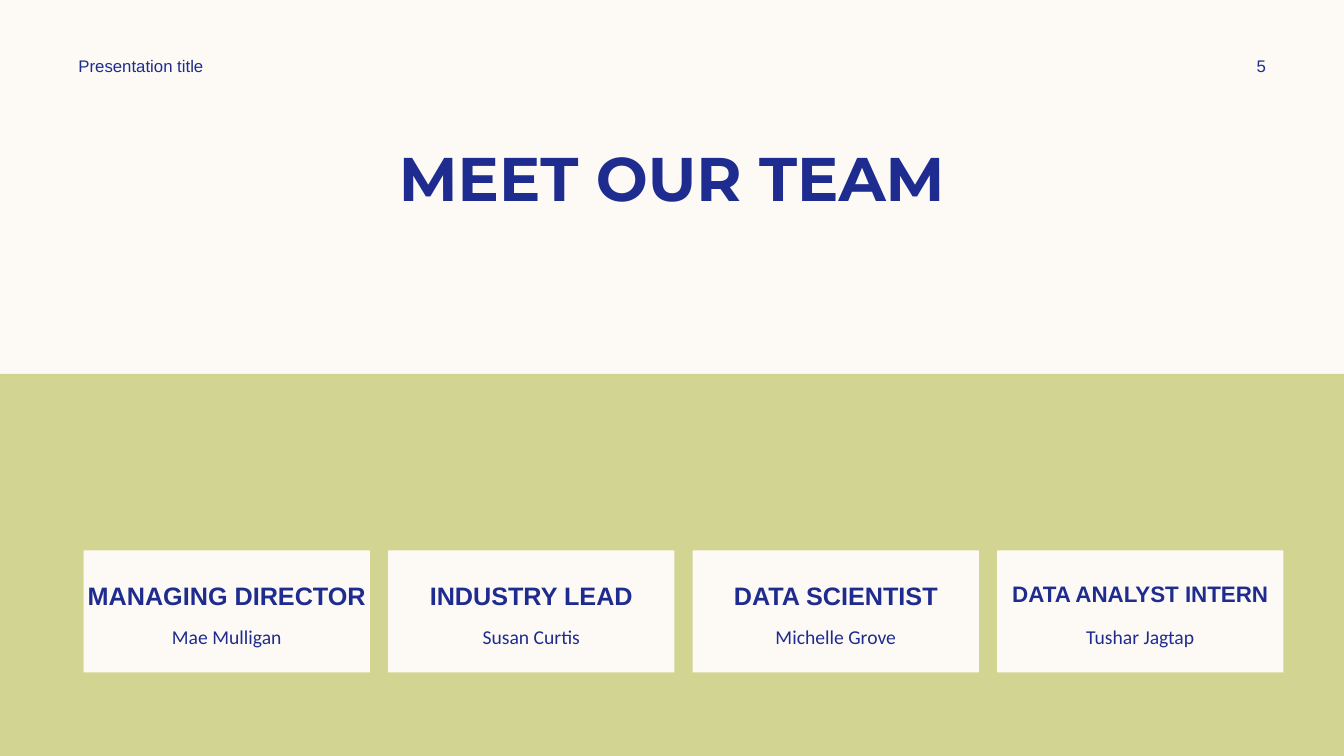
"""Builds the "Meet our team" slide with four role cards."""
from pptx import Presentation
from pptx.dml.color import RGBColor
from pptx.enum.shapes import MSO_SHAPE
from pptx.enum.text import MSO_ANCHOR, MSO_AUTO_SIZE, PP_ALIGN
from pptx.util import Inches, Pt

NAVY = RGBColor(0x1F, 0x2C, 0x8F)
CREAM = RGBColor(0xFD, 0xFA, 0xF6)
OLIVE = RGBColor(0xD2, 0xD5, 0x92)
RECTANGLE = MSO_SHAPE.RECTANGLE
TOP, MIDDLE = MSO_ANCHOR.TOP, MSO_ANCHOR.MIDDLE
LEFT, CENTER = PP_ALIGN.LEFT, PP_ALIGN.CENTER
NO_AUTOFIT = MSO_AUTO_SIZE.NONE

TITLE_ONLY = 5
CARD_LEFT, CARD_TOP, CARD_WIDTH, CARD_HEIGHT = 0.83, 5.46, 2.84, 1.21
CARD_STEP = 3.02
NAME_INSET, NAME_TOP, NAME_WIDTH, NAME_HEIGHT = 0.17, 6.12, 2.5, 0.4
TEAM = [
    ("MANAGING DIRECTOR", 18, "Mae Mulligan"),
    ("INDUSTRY LEAD", 18, "Susan Curtis"),
    ("DATA SCIENTIST", 18, "Michelle Grove"),
    ("DATA ANALYST INTERN", 16, "Tushar Jagtap"),
]


class TeamSlide:
    """Holds the slide and its style, with a method for each kind of element."""

    def __init__(self, deck):
        self.slide = deck.slides.add_slide(deck.slide_layouts[TITLE_ONLY])
        self.slide.background.fill.solid()
        self.slide.background.fill.fore_color.rgb = CREAM

    def set_text(self, shape, text, size, font, bold=False, align=CENTER, anchor=MIDDLE):
        """Put one styled paragraph into a shape."""
        frame = shape.text_frame
        frame.text = text
        frame.word_wrap = True
        frame.auto_size = NO_AUTOFIT
        frame.vertical_anchor = anchor
        paragraph = frame.paragraphs[0]
        paragraph.alignment = align
        run_font = paragraph.runs[0].font
        run_font.name = font
        run_font.size = Pt(size)
        run_font.bold = bold
        run_font.color.rgb = NAVY

    def title(self, text, left, top, width, height):
        """Place and fill the title placeholder."""
        heading = self.slide.shapes.title
        heading.left, heading.top = Inches(left), Inches(top)
        heading.width, heading.height = Inches(width), Inches(height)
        self.set_text(heading, text, 44, "Montserrat", bold=True)

    def label(self, text, left, top, width, height, size, font, align=CENTER):
        """Add a text box."""
        box = self.slide.shapes.add_textbox(
            Inches(left), Inches(top), Inches(width), Inches(height))
        self.set_text(box, text, size, font, align=align)

    def panel(self, left, top, width, height, color):
        """Add a plain filled rectangle."""
        rectangle = self.slide.shapes.add_shape(
            RECTANGLE, Inches(left), Inches(top), Inches(width), Inches(height))
        rectangle.shadow.inherit = False
        rectangle.fill.solid()
        rectangle.fill.fore_color.rgb = color
        rectangle.line.fill.background()
        return rectangle

    def card(self, left, role, role_size, name):
        """Add a role card with the member's name."""
        role_panel = self.panel(left, CARD_TOP, CARD_WIDTH, CARD_HEIGHT, CREAM)
        frame = role_panel.text_frame
        frame.margin_left = frame.margin_right = 0
        frame.margin_top, frame.margin_bottom = Inches(0.3), Inches(0.05)
        self.set_text(role_panel, role, role_size, "Arial", bold=True, anchor=TOP)
        self.label(name, left + NAME_INSET, NAME_TOP, NAME_WIDTH, NAME_HEIGHT,
                   14, "Calibri")


def main():
    """Build and save the deck."""
    deck = Presentation()
    deck.slide_width, deck.slide_height = Inches(13.33), Inches(7.5)
    team_slide = TeamSlide(deck)
    team_slide.panel(0, 3.71, 13.33, 3.79, OLIVE)
    team_slide.title("MEET OUR TEAM", 0.83, 1.33, 11.67, 0.84)
    team_slide.label("Presentation title", 0.68, 0.5, 3.5, 0.3, 12, "Arial", LEFT)
    team_slide.label("5", 11.97, 0.5, 1.08, 0.3, 12, "Arial")
    for column, (role, role_size, name) in enumerate(TEAM):
        team_slide.card(CARD_LEFT + column * CARD_STEP, role, role_size, name)
    deck.save("out.pptx")


if __name__ == "__main__":
    main()
